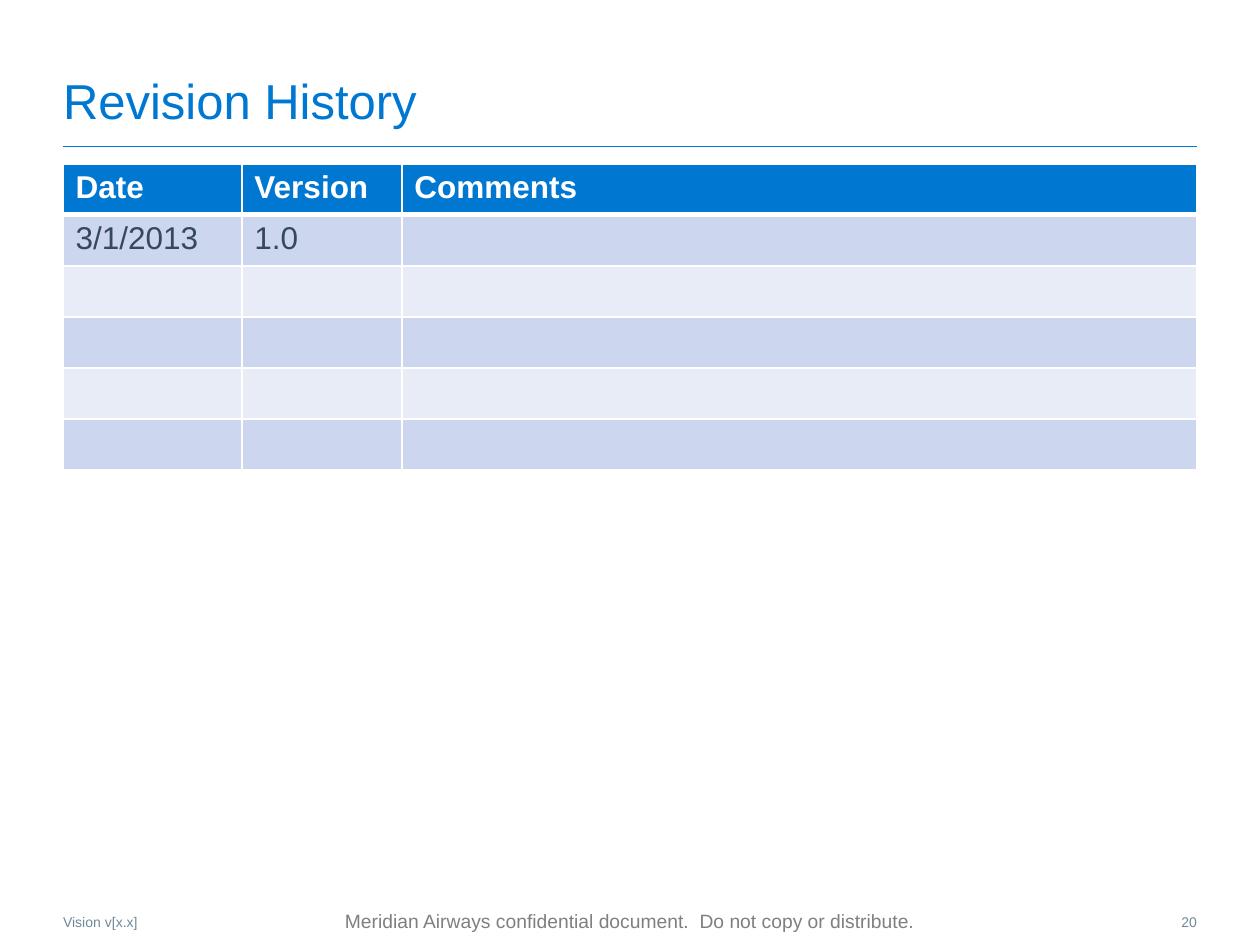
from lxml import etree
from pptx import Presentation
from pptx import util as u
from pptx.dml.color import RGBColor
from pptx.enum import shapes, text
from pptx.oxml import ns

COLORS = {
    "blue": "0078D2",
    "white": "FFFFFF",
    "body": "36495A",
    "footer": "6E8999",
    "notice": "7F7F7F",
    "band_dark": "CCD6EE",
    "band_light": "E7ECF7",
}
FONT = "Arial"
WIDTH, HEIGHT = u.Inches(10), u.Inches(7.5)
MARGIN = 0.05
CONTENT = 1 - 2 * MARGIN
HEADERS = ["Date", "Version", "Comments"]
REVISIONS = [["3/1/2013", "1.0", ""]] + [["", "", ""]] * 4
COLUMN_SHARES = [1.42 / 9, 1.27 / 9, 6.31 / 9]


def color(name):
    return RGBColor.from_string(COLORS[name])


def place(left, top, width, height):
    return (
        u.Emu(round(left * WIDTH)),
        u.Emu(round(top * HEIGHT)),
        u.Emu(round(width * WIDTH)),
        u.Emu(round(height * HEIGHT)),
    )


def write(frame, words, size=18, fill="body", bold=False, align=text.PP_ALIGN.LEFT):
    paragraph = frame.paragraphs[0]
    paragraph.alignment = align
    target = paragraph
    if words:
        target = paragraph.add_run()
        target.text = words
    target.font.name = FONT
    target.font.size = u.Pt(size)
    target.font.bold = bold
    target.font.color.rgb = color(fill)


def clear_insets(frame):
    frame.margin_left = frame.margin_top = frame.margin_right = frame.margin_bottom = 0


def add_label(slide, box, words, **style):
    frame = slide.shapes.add_textbox(*box).text_frame
    frame.word_wrap = True
    clear_insets(frame)
    write(frame, words, **style)
    return frame


def add_heading(slide, box):
    title = slide.shapes.title
    title.left, title.top, title.width, title.height = box
    frame = title.text_frame
    clear_insets(frame)
    frame.vertical_anchor = text.MSO_ANCHOR.BOTTOM
    write(frame, "Revision History", size=28, fill="blue")


def add_rule(slide, box):
    left, top, width, height = box
    rule = slide.shapes.add_connector(
        shapes.MSO_CONNECTOR.STRAIGHT, left, top, left + width, top + height
    )
    rule.line.color.rgb = color("blue")
    rule.line.width = u.Pt(0.5)
    etree.SubElement(rule._element.spPr, ns.qn("a:effectLst"))


def add_borders(cell, **widths):
    properties = cell._tc.get_or_add_tcPr()
    for index, side in enumerate("LRTB"):
        line = etree.Element(ns.qn(f"a:ln{side}"), w=str(u.Pt(widths.get(side, 1))))
        fill = etree.SubElement(line, ns.qn("a:solidFill"))
        etree.SubElement(fill, ns.qn("a:srgbClr"), val=COLORS["white"])
        properties.insert(index, line)


def add_history(slide, box):
    rows = [HEADERS] + REVISIONS
    table = slide.shapes.add_table(len(rows), len(HEADERS), *box).table
    for column, share in zip(table.columns, COLUMN_SHARES):
        column.width = u.Emu(round(box[2] * share))
    for row_index, values in enumerate(rows):
        header = row_index == 0
        band = "blue" if header else "band_dark" if row_index % 2 else "band_light"
        for column_index, words in enumerate(values):
            cell = table.cell(row_index, column_index)
            cell.fill.solid()
            cell.fill.fore_color.rgb = color(band)
            add_borders(cell, B=3 if header else 1, T=3 if row_index == 1 else 1)
            write(cell.text_frame, words, fill="white" if header else "body", bold=header)


def add_footer(slide, box):
    left, top, width, height = box
    number_width = u.Inches(0.35)
    add_label(
        slide, (left, top, u.Inches(4.25), height), "Vision v[x.x]", size=8, fill="footer"
    )
    add_label(
        slide,
        (left + width - number_width, top, number_width, height),
        "20",
        size=8,
        fill="footer",
        align=text.PP_ALIGN.RIGHT,
    )


def add_notice(slide, box):
    frame = add_label(
        slide,
        box,
        "Meridian Airways confidential document.  Do not copy or distribute.",
        size=11,
        fill="notice",
        align=text.PP_ALIGN.CENTER,
    )
    frame.word_wrap = False
    frame.vertical_anchor = text.MSO_ANCHOR.MIDDLE


def main():
    presentation = Presentation()
    presentation.slide_width, presentation.slide_height = WIDTH, HEIGHT
    slide = presentation.slides.add_slide(presentation.slide_layouts[5])
    add_rule(slide, place(MARGIN, 1.16 / 7.5, CONTENT, 0))
    add_notice(slide, place(0.2, 7.18 / 7.5, 0.6, 0.26 / 7.5))
    add_heading(slide, place(MARGIN, 0.42 / 7.5, CONTENT, 0.61 / 7.5))
    add_footer(slide, place(MARGIN, 7.25 / 7.5, CONTENT, 0.02))
    add_history(slide, place(MARGIN, 1.3 / 7.5, CONTENT, 2.43 / 7.5))
    presentation.save("out.pptx")


if __name__ == "__main__":
    main()
